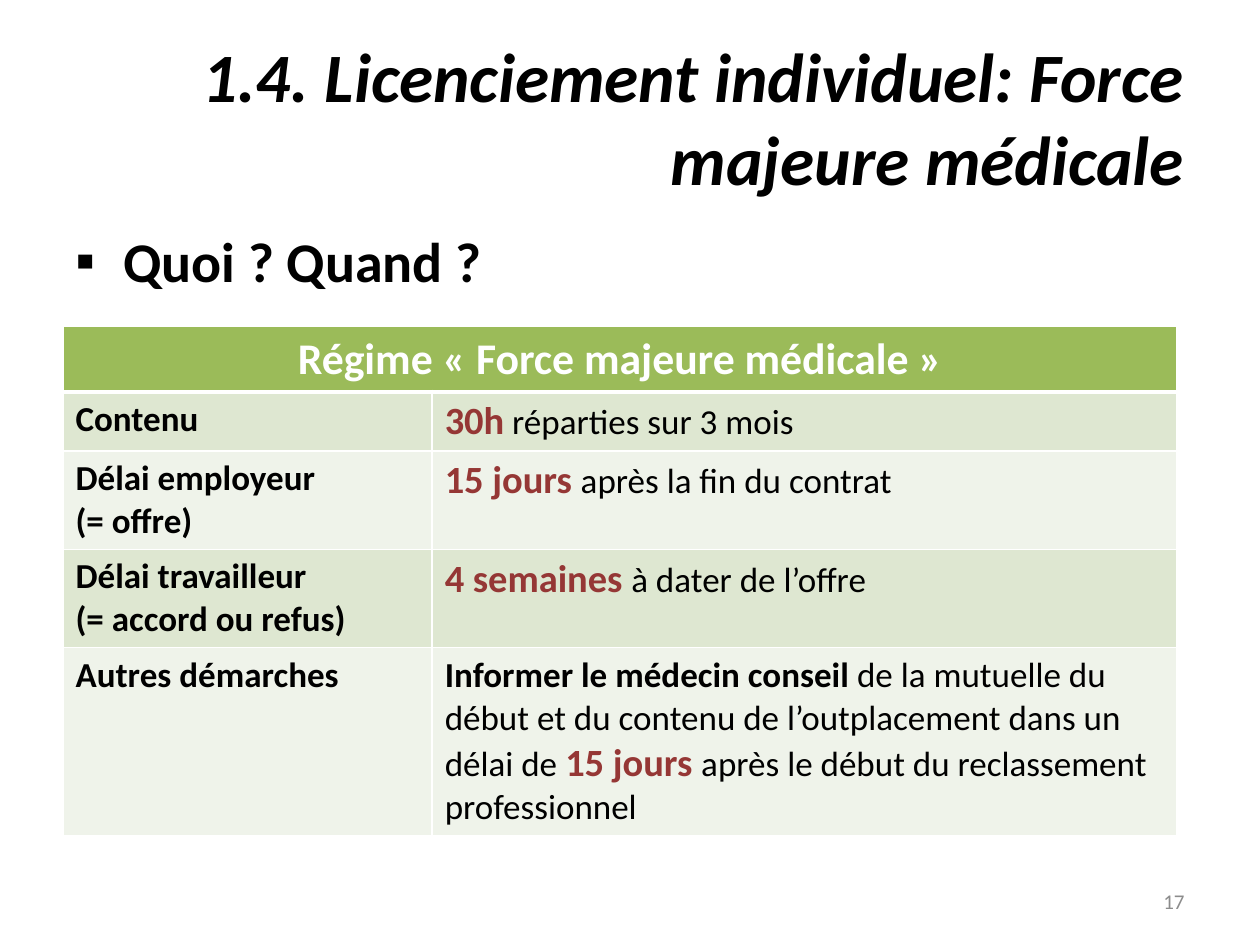
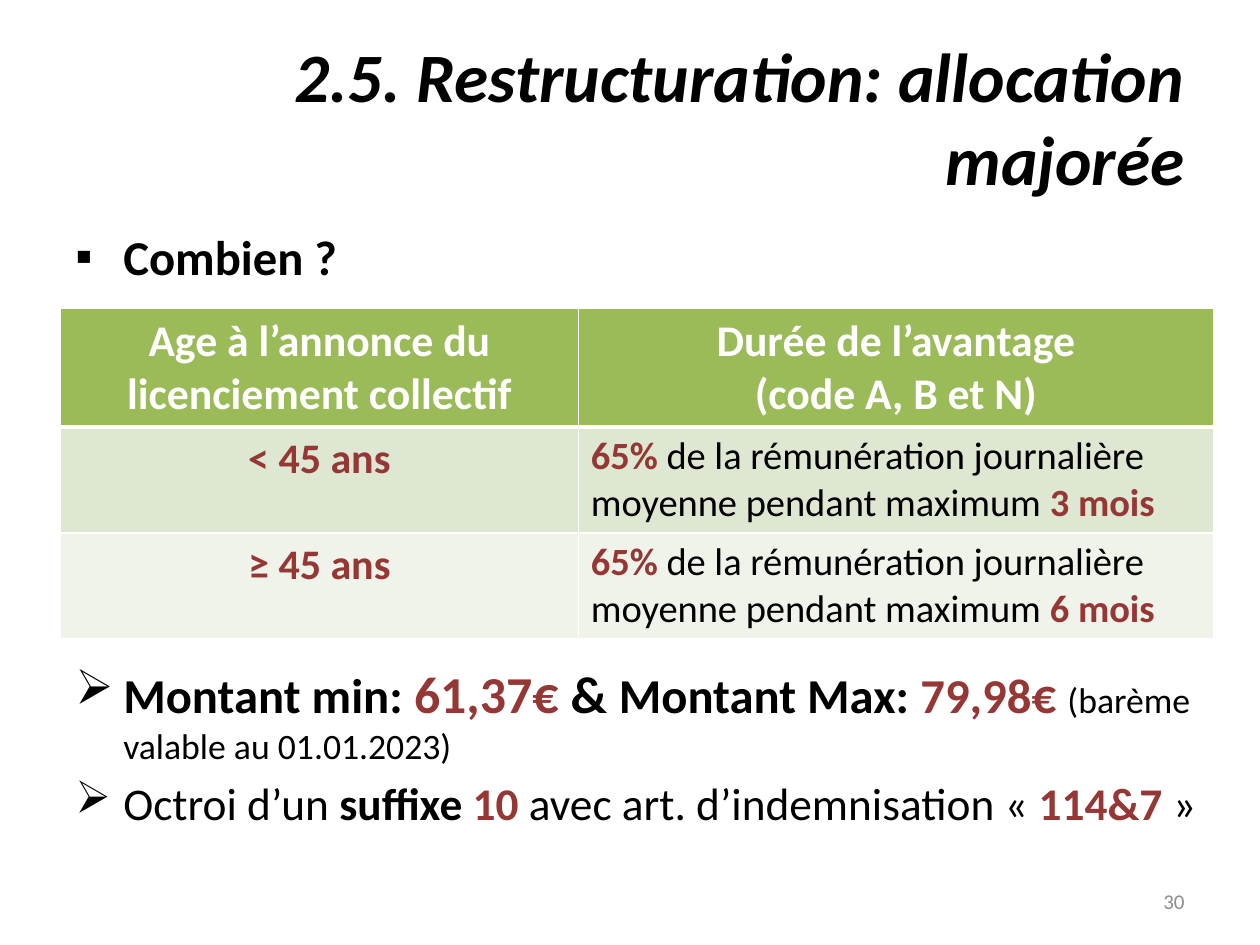
from dataclasses import dataclass

from lxml.etree import SubElement
from pptx import Presentation
from pptx.dml.color import RGBColor
from pptx.enum.text import MSO_ANCHOR as Anchor, MSO_AUTO_SIZE as AutoSize, PP_ALIGN as Align
from pptx.oxml.ns import qn
from pptx.util import Emu, Pt

PX_PER_INCH = 100
FONT = "Calibri"
BLACK, WHITE, RED, GREY = "000000", "FFFFFF", "953735", "8C8C8C"
HEADER_FILL, BAND_FILLS = "9BBB59", ("DEE7D1", "EFF3EA")
SQUARE, ARROW = "▪", "➢"
BULLET_FONTS = {SQUARE: "Arial", ARROW: "OpenSymbol"}
BULLET_INDENT = 38
TITLE_ONLY = 5


@dataclass(frozen=True)
class Span:
    text: str
    size: float = 20
    color: str = BLACK
    bold: bool = False
    italic: bool = False


@dataclass(frozen=True)
class Para:
    spans: tuple[Span, ...]
    align: Align = Align.LEFT
    bullet: str = ""


@dataclass(frozen=True)
class Area:
    left: int
    top: int
    width: int
    height: int

    def emu(self) -> tuple[Emu, ...]:
        return tuple(px(n) for n in (self.left, self.top, self.width, self.height))


@dataclass(frozen=True)
class Grid:
    left: int
    top: int
    columns: tuple[int, ...]
    rows: tuple[int, ...]
    cells: tuple[tuple[tuple[Para, ...], ...], ...]


@dataclass(frozen=True)
class Content:
    title: str
    number: str
    grid: Grid
    texts: tuple[tuple[Area, tuple[Para, ...]], ...]


TITLE_AREA = Area(50, 30, 900, 125)
NUMBER_AREA = Area(717, 695, 233, 40)


def px(length: int) -> Emu:
    return Emu(length * 914400 // PX_PER_INCH)


def rgb(color: str) -> RGBColor:
    return RGBColor.from_string(color)


def strong(text: str, size: float = 20, color: str = BLACK) -> Span:
    return Span(text, size, color, bold=True)


def key(text: str, size: float = 22) -> Span:
    """Red bold figure that carries the message."""
    return strong(text, size, RED)


def cell_text(*spans: Span) -> tuple[Para, ...]:
    return (Para(spans),)


def labels(*lines: str) -> tuple[Para, ...]:
    return tuple(Para((strong(line),)) for line in lines)


def headings(*lines: str) -> tuple[Para, ...]:
    return tuple(Para((strong(line, 25, WHITE),), Align.CENTER) for line in lines)


def age(text: str) -> tuple[Para, ...]:
    return (Para((key(text, 24),), Align.CENTER),)


def benefit(months: str) -> tuple[Para, ...]:
    middle = " de la rémunération journalière moyenne pendant maximum "
    return cell_text(key("65%"), Span(middle, 22), key(months))


def add_bullet(para, bullet: str) -> None:
    props = para._p.get_or_add_pPr()
    props.set("marL", str(px(BULLET_INDENT)))
    props.set("indent", str(-px(BULLET_INDENT)))
    SubElement(props, qn("a:buFont"), typeface=BULLET_FONTS[bullet])
    SubElement(props, qn("a:buChar"), char=bullet)


def write(frame, paras: tuple[Para, ...]) -> None:
    frame.word_wrap = True
    for index, item in enumerate(paras):
        para = frame.add_paragraph() if index else frame.paragraphs[0]
        para.alignment = item.align
        if item.bullet:
            add_bullet(para, item.bullet)
            if index:
                para.space_before = Pt(item.spans[0].size * 0.2)
        for span in item.spans:
            run = para.add_run()
            run.text = span.text
            font = run.font
            font.name, font.size = FONT, Pt(span.size)
            font.bold, font.italic = span.bold, span.italic
            font.color.rgb = rgb(span.color)


def add_text(page, area: Area, paras: tuple[Para, ...], anchor: Anchor = Anchor.TOP) -> None:
    box = page.shapes.add_textbox(*area.emu())
    box.text_frame.vertical_anchor = anchor
    write(box.text_frame, paras)


def add_title(page, text: str) -> None:
    title = page.shapes.title
    title.left, title.top, title.width, title.height = TITLE_AREA.emu()
    frame = title.text_frame
    frame.auto_size = AutoSize.NONE
    frame.vertical_anchor = Anchor.MIDDLE
    write(frame, (Para((Span(text, 39.6, bold=True, italic=True),), Align.RIGHT),))


def add_borders(cell, sides: dict[str, int]) -> None:
    """White lines; sides maps L, R, T and B, in that order, to widths in points."""
    props = cell._tc.get_or_add_tcPr()
    for side, width in sides.items():
        line = SubElement(props, qn(f"a:ln{side}"), w=str(Pt(width)))
        SubElement(SubElement(line, qn("a:solidFill")), qn("a:srgbClr"), val=WHITE)


def add_grid(page, grid: Grid) -> None:
    area = Area(grid.left, grid.top, sum(grid.columns), sum(grid.rows))
    table = page.shapes.add_table(len(grid.rows), len(grid.columns), *area.emu()).table
    table.horz_banding = False
    for column, width in zip(table.columns, grid.columns):
        column.width = px(width)
    for index, (row, height) in enumerate(zip(table.rows, grid.rows)):
        row.height = px(height)
        fill = BAND_FILLS[(index - 1) % 2] if index else HEADER_FILL
        top, bottom = {0: (1, 3), 1: (3, 1)}.get(index, (1, 1))
        for cell in row.cells:
            add_borders(cell, {"L": 1, "R": 1, "T": top, "B": bottom})
            cell.fill.solid()
            cell.fill.fore_color.rgb = rgb(fill)
        texts = grid.cells[index]
        if len(texts) < len(grid.columns):
            table.cell(index, 0).merge(table.cell(index, len(grid.columns) - 1))
        for cell, paras in zip(row.cells, texts):
            write(cell.text_frame, paras)


def add_page(deck, content: Content) -> None:
    page = deck.slides.add_slide(deck.slide_layouts[TITLE_ONLY])
    add_title(page, content.title)
    for area, paras in content.texts:
        add_text(page, area, paras)
    number = Para((Span(content.number, 12, GREY),), Align.RIGHT)
    add_text(page, NUMBER_AREA, (number,), Anchor.MIDDLE)
    add_grid(page, content.grid)


MEDICAL = Content(
    title="1.4. Licenciement individuel: Force majeure médicale",
    number="17",
    texts=((Area(50, 175, 900, 70), (Para((strong("Quoi ? Quand ?", 32),), bullet=SQUARE),)),),
    grid=Grid(50, 259, (293, 591), (52, 47, 78, 78, 149), (
        (headings("Régime « Force majeure médicale »"),),
        (labels("Contenu"), cell_text(key("30h"), Span(" réparties sur 3 mois"))),
        (labels("Délai employeur", "(= offre)"),
         cell_text(key("15 jours "), Span("après la fin du contrat"))),
        (labels("Délai travailleur", "(= accord ou refus)"),
         cell_text(key("4 semaines "), Span("à dater de l’offre"))),
        (labels("Autres démarches"),
         cell_text(
             strong("Informer le médecin conseil "),
             Span("de la mutuelle du début et du contenu de l’outplacement dans un délai de "),
             key("15 jours "),
             Span("après le début du reclassement professionnel"))),
    )),
)

AMOUNTS = (
    Para((
        strong("Montant min: ", 27.8),
        key("61,37€", 29.6),
        strong(" & ", 29.6),
        strong("Montant Max: ", 27.8),
        key("79,98€ ", 27.8),
        Span("(barème valable au 01.01.2023)", 20.4),
    ), bullet=ARROW),
    Para((
        Span("Octroi d’un ", 25.9),
        strong("suffixe ", 25.9),
        key("10", 25.9),
        Span(" avec art. d’indemnisation «", 25.9),
        key(" 114&7 ", 25.9),
        Span("»", 25.9),
    ), bullet=ARROW),
)

RESTRUCTURING = Content(
    title="2.5. Restructuration: allocation majorée",
    number="30",
    texts=(
        (Area(50, 175, 915, 60), (Para((strong("Combien ?", 27.8),), bullet=SQUARE),)),
        (Area(50, 520, 915, 150), AMOUNTS),
    ),
    grid=Grid(48, 245, (411, 504), (94, 84, 84), (
        (headings("Age à l’annonce du licenciement collectif"),
         headings("Durée de l’avantage", "(code A, B et N)")),
        (age("< 45 ans"), benefit("3 mois")),
        (age("≥ 45 ans"), benefit("6 mois")),
    )),
)


def main() -> None:
    deck = Presentation()
    deck.slide_width, deck.slide_height = px(1000), px(750)
    for content in (MEDICAL, RESTRUCTURING):
        add_page(deck, content)
    deck.save("out.pptx")


if __name__ == "__main__":
    main()
